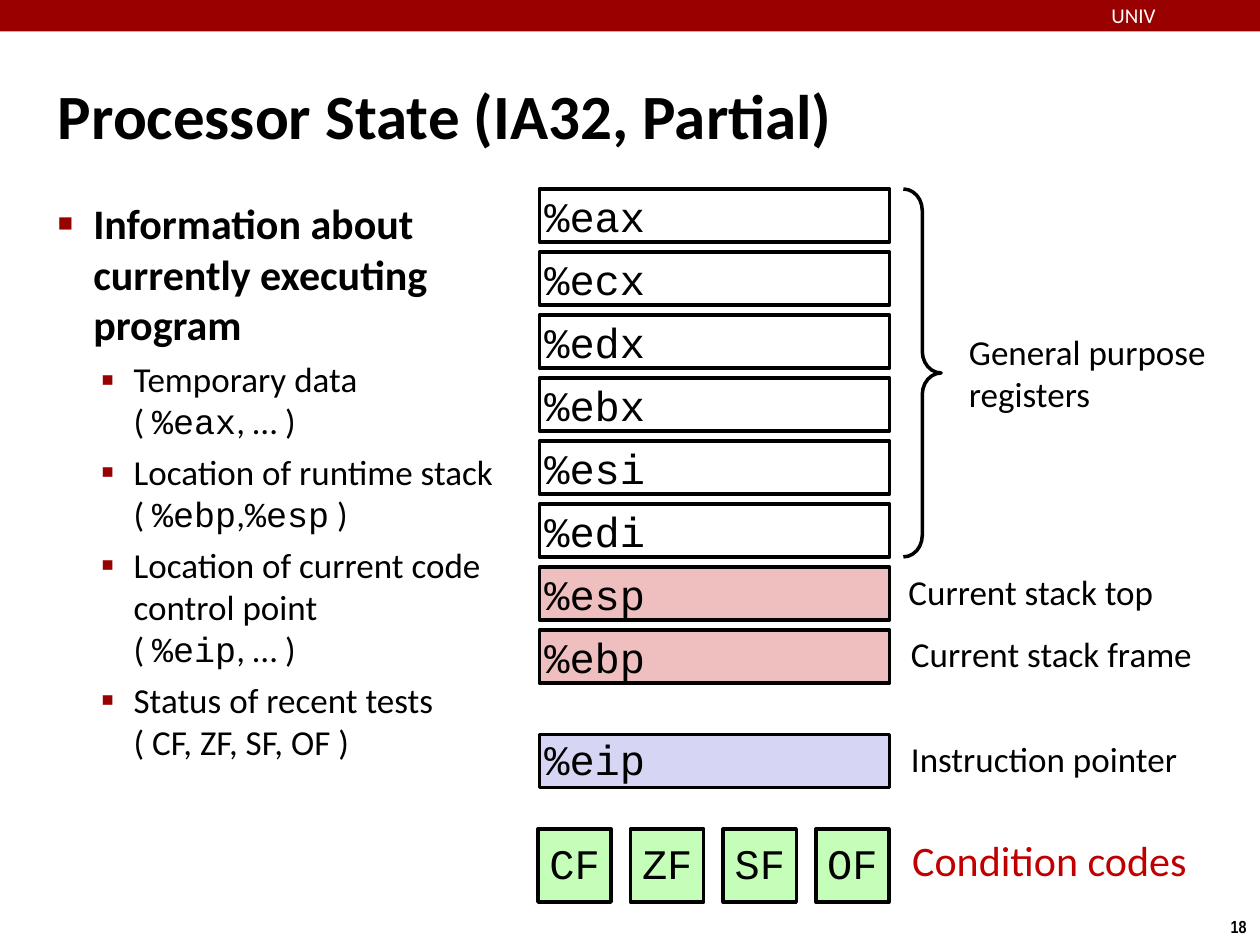
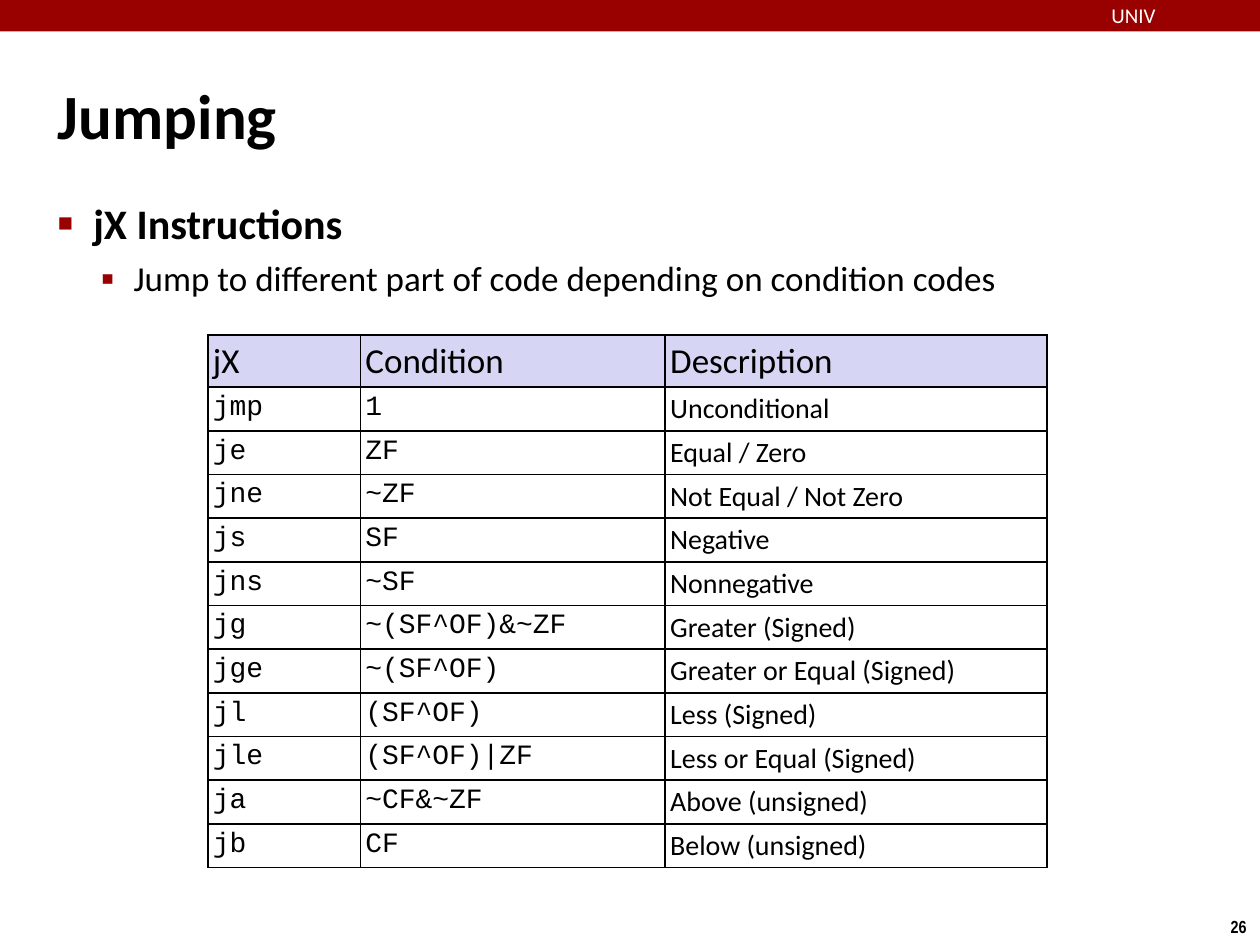
"""Build two slides on processor state and jump instructions."""
from lxml import etree
from pptx import Presentation
from pptx.dml.color import RGBColor
from pptx.enum.shapes import MSO_SHAPE
from pptx.enum.text import MSO_ANCHOR, MSO_AUTO_SIZE, PP_ALIGN
from pptx.oxml.ns import qn
from pptx.util import Inches, Pt

RECT, BRACE = MSO_SHAPE.RECTANGLE, MSO_SHAPE.RIGHT_BRACE
MID, TOP = MSO_ANCHOR.MIDDLE, MSO_ANCHOR.TOP
LEFT, MITTE = PP_ALIGN.LEFT, PP_ALIGN.CENTER
FIXED = MSO_AUTO_SIZE.NONE
SANS, MONO = "Calibri", "Courier New"
RED, BLACK, WHITE = "990000", "000000", "FFFFFF"
ROSE, LILAC, GREEN = "EFBFBF", "D6D6F4", "C5FEB8"
PAD = Inches(0.04)
hue = RGBColor.from_string

deck = Presentation()
deck.slide_width, deck.slide_height = Inches(10), Inches(7.5)
COL, ROW = deck.slide_width / 20, deck.slide_height / 15


def area(x, y, wide, high):
    """Turn columns and rows of the slide grid into lengths."""
    return int(x * COL), int(y * ROW), int(wide * COL), int(high * ROW)


def write(host, text, size, face=SANS, tint=BLACK, bold=False, align=LEFT, pad=PAD):
    """Fill a shape or cell with text; backticks part the runs."""
    frame = host.text_frame
    for box in (host, frame) if hasattr(host, "margin_left") else (frame,):
        box.margin_left = box.margin_right = pad
        box.margin_top = box.margin_bottom = pad
    frame.text = text
    for par in frame.paragraphs:
        head, *rest = par.text.split("`")
        par.text = head
        par.alignment = align
        for part in rest:
            par.add_run().text = part
        for run in par.runs:
            font = run.font
            font.name = MONO if run.text.startswith("%") else face
            font.size, font.bold = Pt(size), bold
            font.color.rgb = hue(tint)
    return frame


facts = """Information about currently executing program
Temporary data\v( `%eax`, … )
Location of runtime stack\v( `%ebp`,`%esp` )
Location of current code control point\v( `%eip`, … )
Status of recent tests\v( CF, ZF, SF, OF )"""
jumps = """jX Instructions
Jump to different part of code depending on condition codes"""
pages = [
    ("Processor State (IA32, Partial)", facts, 7.3, 11.88, "18"),
    ("Jumping", jumps, 18.34, 1.88, "26"),
]
for name, text, wide, high, num in pages:
    slide = deck.slides.add_slide(deck.slide_layouts[1])
    band = slide.shapes.add_shape(RECT, *area(0, 0, 20, 0.5))
    band.shadow.inherit = False
    band.fill.solid()
    band.fill.fore_color.rgb = hue(RED)
    band.line.fill.background()
    tag = slide.shapes.add_textbox(*area(17.64, 0.04, 2.36, 0.38))
    write(tag, "UNIV", 12, tint=WHITE, pad=0)
    foot = slide.shapes.add_textbox(*area(19.32, 14.44, 0.68, 0.54))
    write(foot, num, 10, "Arial Narrow", bold=True, align=MITTE, pad=Inches(0.05)).word_wrap = False

    title, body = slide.placeholders
    title.left, title.top, title.width, title.height = area(0.84, 0.56, 18.34, 2.5)
    frame = write(title, name, 36, bold=True)
    frame.vertical_anchor, frame.auto_size = MID, FIXED
    prop = frame.paragraphs[0]._p.get_or_add_pPr()
    prop.set("marL", str(Inches(0.13)))
    prop.set("indent", str(Inches(-0.13)))

    body.left, body.top, body.width, body.height = area(0.84, 3.06, wide, high)
    frame = write(body, text, 20)
    frame.vertical_anchor, frame.auto_size = TOP, FIXED
    for rank, par in enumerate(frame.paragraphs):
        if rank:
            par.level = 1
            gap, left, hang, mark, share = 5, 0.6, 0.26, "▪", 110
        else:
            gap, left, hang, mark, share = 6, 0.28, 0.28, "■", 60
            for run in par.runs:
                run.font.size, run.font.bold = Pt(24), True
        par.space_before = Pt(gap)
        prop = par._p.get_or_add_pPr()
        prop.set("marL", str(Inches(left)))
        prop.set("indent", str(Inches(-hang)))
        tint = etree.SubElement(prop, qn("a:buClr"))
        etree.SubElement(tint, qn("a:srgbClr"), val=RED)
        etree.SubElement(prop, qn("a:buSzPct"), val=str(share * 1000))
        etree.SubElement(prop, qn("a:buChar"), char=mark)

state, jump = deck.slides

cells = []
for i, reg in enumerate(["eax", "ecx", "edx", "ebx", "esi", "edi", "esp", "ebp"]):
    cells.append(("%" + reg, 8.56, 3 + i, 5.56, 0.84, WHITE if i < 6 else ROSE, LEFT, 1))
cells.append(("%eip", 8.56, 11.66, 5.56, 0.84, LILAC, LEFT, 0.95))
for i, flag in enumerate(["CF", "ZF", "SF", "OF"]):
    cells.append((flag, 8.54 + i * 1.47, 13.16, 1.16, 1.16, GREEN, MITTE, 0.95))
for text, x, y, wide, high, tint, align, lead in cells:
    box = state.shapes.add_shape(RECT, *area(x, y, wide, high))
    box.shadow.inherit = False
    box.fill.solid()
    box.fill.fore_color.rgb = hue(tint)
    box.line.color.rgb = hue(BLACK)
    box.line.width = Pt(2)
    frame = write(box, text, 24, MONO, align=align)
    frame.vertical_anchor = MID
    frame.paragraphs[0].line_spacing = lead

brace = state.shapes.add_shape(BRACE, *area(14.34, 3, 0.6, 5.84))
brace.shadow.inherit = False
brace.adjustments[0] = 0.57
brace.fill.background()
brace.line.color.rgb = hue(BLACK)
brace.line.width = Pt(2)

notes = [
    ("General purpose\nregisters", 15.3, 5.16, 4.02, 1.5, 20, BLACK),
    ("Current stack top", 14.34, 8.98, 4.16, 0.84, 20, BLACK),
    ("Current stack frame", 14.38, 9.96, 4.74, 0.84, 20, BLACK),
    ("Instruction pointer", 14.38, 11.62, 4.52, 0.84, 20, BLACK),
    ("Condition codes", 14.4, 13.16, 5.6, 0.98, 24, "C00000"),
]
for text, x, y, wide, high, size, tint in notes:
    label = state.shapes.add_textbox(*area(x, y, wide, high))
    write(label, text, size, tint=tint).word_wrap = size == 24

rows = [
    ("jX", "Condition", "Description"),
    ("jmp", "1", "Unconditional"),
    ("je", "ZF", "Equal / Zero"),
    ("jne", "~ZF", "Not Equal / Not Zero"),
    ("js", "SF", "Negative"),
    ("jns", "~SF", "Nonnegative"),
    ("jg", "~(SF^OF)&~ZF", "Greater (Signed)"),
    ("jge", "~(SF^OF)", "Greater or Equal (Signed)"),
    ("jl", "(SF^OF)", "Less (Signed)"),
    ("jle", "(SF^OF)|ZF", "Less or Equal (Signed)"),
    ("ja", "~CF&~ZF", "Above (unsigned)"),
    ("jb", "CF", "Below (unsigned)"),
]
grid = jump.shapes.add_table(len(rows), 3, *area(3.3, 5.32, 13.32, 8.54)).table
grid.first_row = grid.horz_banding = False
for col, wide in zip(grid.columns, (2.42, 4.84, 6.06)):
    col.width = int(wide * COL)
for r, row in enumerate(rows):
    grid.rows[r].height = int((0.68 if r else 0.82) * ROW)
    for c, text in enumerate(row):
        cell = grid.cell(r, c)
        write(cell, text, 16 if r else 20, MONO if r and c < 2 else SANS)
        if r:
            cell.fill.background()
        else:
            cell.fill.solid()
            cell.fill.fore_color.rgb = hue(LILAC)
        prop = cell._tc.get_or_add_tcPr()
        for i, side in enumerate("LRTB"):
            edge = etree.Element(qn("a:ln" + side), w=str(Pt(1)))
            fill = etree.SubElement(edge, qn("a:solidFill"))
            etree.SubElement(fill, qn("a:srgbClr"), val=BLACK)
            prop.insert(i, edge)

deck.save("out.pptx")
